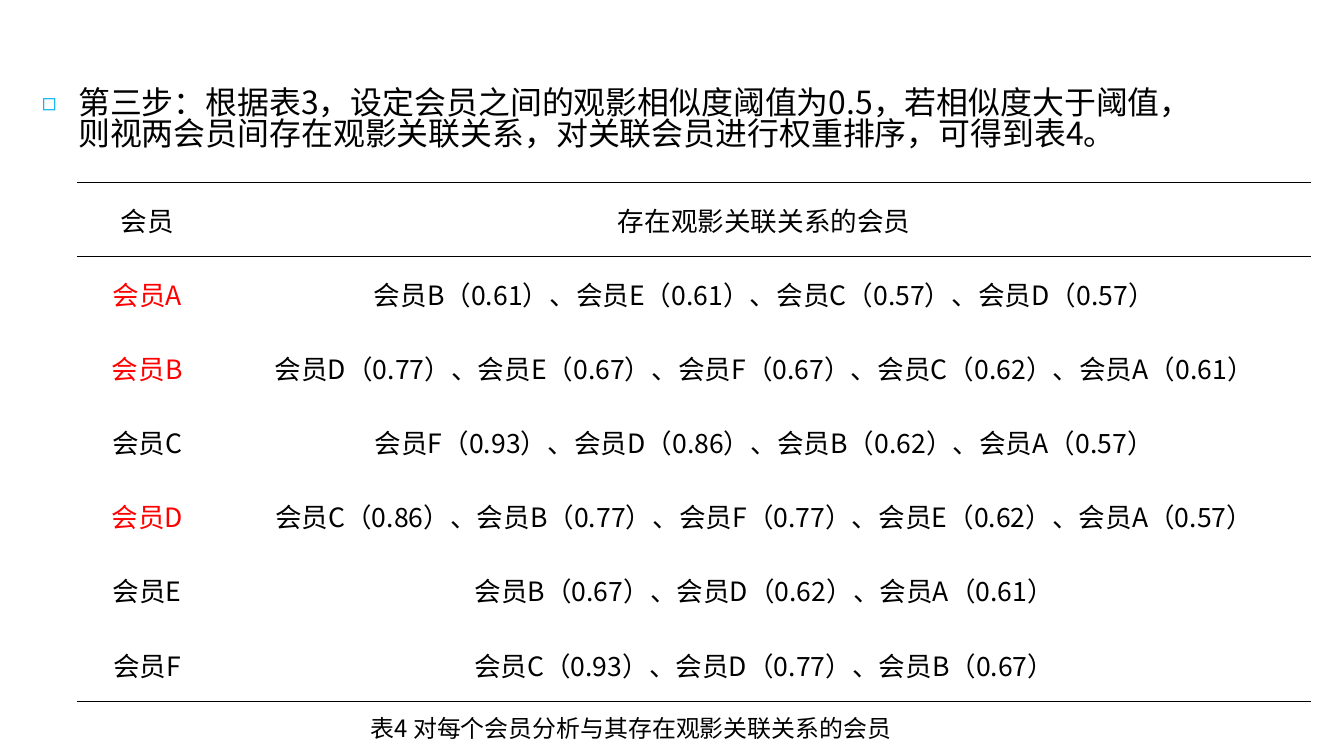
from lxml.etree import SubElement
from pptx import Presentation
from pptx.dml.color import RGBColor
from pptx.enum.text import MSO_ANCHOR, PP_ALIGN
from pptx.oxml.ns import qn
from pptx.util import Inches, Pt

FONT = "Noto Sans CJK SC"
COLORS = {"text": "000000", "highlight": "FF0000", "bullet": "00B0F2"}
STEP = "第三步：根据表3，设定会员之间的观影相似度阈值为0.5，若相似度大于阈值，则视两会员间存在观影关联关系，对关联会员进行权重排序，可得到表4。"
CAPTION = "表4 对每个会员分析与其存在观影关联关系的会员"
HEADER = ("会员", "存在观影关联关系的会员")
RELATED = {
    "A": [("B", 0.61), ("E", 0.61), ("C", 0.57), ("D", 0.57)],
    "B": [("D", 0.77), ("E", 0.67), ("F", 0.67), ("C", 0.62), ("A", 0.61)],
    "C": [("F", 0.93), ("D", 0.86), ("B", 0.62), ("A", 0.57)],
    "D": [("C", 0.86), ("B", 0.77), ("F", 0.77), ("E", 0.62), ("A", 0.57)],
    "E": [("B", 0.67), ("D", 0.62), ("A", 0.61)],
    "F": [("C", 0.93), ("D", 0.77), ("B", 0.67)],
}
HIGHLIGHTED = "ABD"


def write(text_frame, text, size, color="text", align=PP_ALIGN.LEFT):
    text_frame.text = text
    paragraph = text_frame.paragraphs[0]
    paragraph.alignment = align
    run = paragraph.runs[0]
    run.font.size = Pt(size)
    run.font.name = FONT
    run.font.bold = False
    run.font.color.rgb = RGBColor.from_string(COLORS[color])
    SubElement(run.font._element, qn("a:ea"), typeface=FONT)
    return paragraph


def add_text(slide, left, top, width, height, text, size, align=PP_ALIGN.LEFT, anchor=MSO_ANCHOR.TOP):
    box = slide.shapes.add_textbox(Inches(left), Inches(top), Inches(width), Inches(height))
    box.text_frame.word_wrap = True
    box.text_frame.vertical_anchor = anchor
    return write(box.text_frame, text, size, align=align)


def add_bullet(paragraph, character, indent):
    properties = paragraph._p.get_or_add_pPr()
    properties.set("marL", str(Inches(indent)))
    properties.set("indent", str(-Inches(indent)))
    color = SubElement(properties, qn("a:buClr"))
    SubElement(color, qn("a:srgbClr"), val=COLORS["bullet"])
    SubElement(properties, qn("a:buSzPct"), val="75000")
    SubElement(properties, qn("a:buFont"), typeface=FONT)
    SubElement(properties, qn("a:buChar"), char=character)


def set_borders(cell, ruled_sides):
    properties = cell._tc.get_or_add_tcPr()
    for position, side in enumerate("LRTB"):
        line = properties.makeelement(qn(f"a:ln{side}"), {"w": str(Pt(1))})
        properties.insert(position, line)
        if side in ruled_sides:
            fill = SubElement(line, qn("a:solidFill"))
            SubElement(fill, qn("a:srgbClr"), val=COLORS["text"])
        else:
            SubElement(line, qn("a:noFill"))


def format_cell(cell, text, color, ruled_sides):
    write(cell.text_frame, text, 20, color, PP_ALIGN.CENTER)
    cell.vertical_anchor = MSO_ANCHOR.MIDDLE
    cell.margin_left = cell.margin_right = Inches(0.07)
    cell.margin_top = cell.margin_bottom = 0
    cell.fill.background()
    set_borders(cell, ruled_sides)


def add_member_table(slide, left, top, column_widths, height):
    rows = [(HEADER, "text")]
    for member, related in RELATED.items():
        listing = "、".join(f"会员{other}（{score:.2f}）" for other, score in related)
        rows.append(((f"会员{member}", listing), "highlight" if member in HIGHLIGHTED else "text"))
    frame = slide.shapes.add_table(
        len(rows), len(HEADER), Inches(left), Inches(top), Inches(sum(column_widths)), Inches(height)
    )
    table = frame.table
    table.first_row = table.horz_banding = False
    for column, width in zip(table.columns, column_widths):
        column.width = Inches(width)
    ruled_sides = {0: "TB", 1: "T", len(rows) - 1: "B"}
    for index, (texts, name_color) in enumerate(rows):
        table.rows[index].height = Inches(height / len(rows))
        for cell, text, color in zip(table.rows[index].cells, texts, (name_color, "text")):
            format_cell(cell, text, color, ruled_sides.get(index, ""))


def main():
    presentation = Presentation()
    presentation.slide_width = Inches(14.06)
    presentation.slide_height = Inches(7.91)
    slide = presentation.slides.add_slide(presentation.slide_layouts[6])
    step = add_text(slide, 0.34, 0.88, 12.28, 0.94, STEP, 24)
    step.line_spacing = 0.83
    step.space_before = Pt(4.8)
    add_bullet(step, "◻", 0.38)
    add_text(slide, 3.41, 7.42, 6.38, 0.4, CAPTION, 18, PP_ALIGN.CENTER, MSO_ANCHOR.MIDDLE)
    add_member_table(slide, 0.81, 1.91, (1.46, 11.45), 5.43)
    presentation.save("out.pptx")


main()
